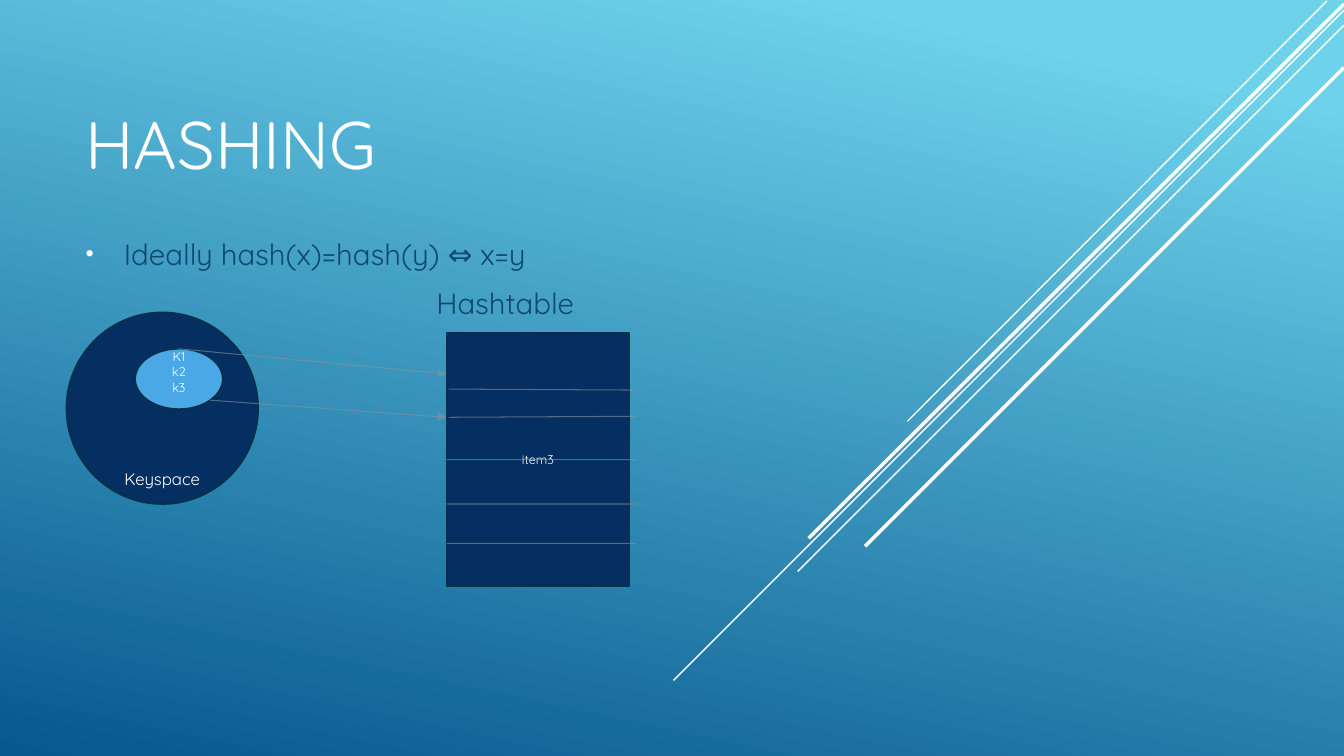
"""Build the hashing slide: keys in a keyspace mapped to hashtable slots."""
from dataclasses import dataclass
from typing import Any

from lxml.etree import SubElement
from pptx import Presentation
from pptx.dml.color import RGBColor
from pptx.enum.shapes import MSO_CONNECTOR, MSO_SHAPE
from pptx.enum.text import MSO_ANCHOR, PP_ALIGN
from pptx.oxml.ns import qn
from pptx.util import Inches, Pt

WHITE, NAVY, SKY, OUTLINE = "FFFFFF", "052F61", "4AA8E7", "043148"
BODY, GREY = "0F496F", "89919C"


@dataclass(frozen=True)
class Stroke:
    """A straight line from start to end, in inches."""
    start: tuple[float, float]
    end: tuple[float, float]
    color: str = GREY
    width: float = 0.75
    alpha: int = 60
    arrow: bool = False


@dataclass(frozen=True)
class Region:
    """A filled, labelled shape with insets above and below its label."""
    kind: MSO_SHAPE
    box: tuple[float, float, float, float]
    fill: str
    label: str
    size: float
    anchor: MSO_ANCHOR = MSO_ANCHOR.MIDDLE
    top: float = 0.05
    bottom: float = 0.05


def rgb(value: str) -> RGBColor:
    """Turn a hex string into a colour."""
    return RGBColor.from_string(value)


def apply(target: Any, values: dict[str, Any]) -> None:
    """Set each named format value on the target."""
    for name, value in values.items():
        setattr(target, name, value)


def style(paragraph: Any, size: float, color: str, **layout: Any) -> None:
    """Give a paragraph its font and layout."""
    apply(paragraph.font, {"name": "Quicksand", "size": Pt(size)})
    paragraph.font.color.rgb = rgb(color)
    apply(paragraph, layout)


def indent(paragraph: Any, left: float, first: float = 0) -> Any:
    """Indent a paragraph and return its properties."""
    properties = paragraph._p.get_or_add_pPr()
    properties.set("marL", str(Inches(left)))
    properties.set("indent", str(Inches(first)))
    return properties


def add_bullet(paragraph: Any, color: str, percent: int) -> None:
    """Hang a round bullet in front of a paragraph."""
    properties = indent(paragraph, 0.38, -0.38)
    bullet_color = SubElement(properties, qn("a:buClr"))
    SubElement(bullet_color, qn("a:srgbClr"), val=color)
    SubElement(properties, qn("a:buSzPct"), val=str(percent * 1000))
    SubElement(properties, qn("a:buFont"), typeface="Arial")
    SubElement(properties, qn("a:buChar"), char="•")


def draw_stroke(slide: Any, stroke: Stroke) -> None:
    """Draw a line, with an arrowhead where asked."""
    ends = [Inches(value) for value in (*stroke.start, *stroke.end)]
    connector = slide.shapes.add_connector(MSO_CONNECTOR.STRAIGHT, *ends)
    connector.line.width = Pt(stroke.width)
    connector.line.color.rgb = rgb(stroke.color)
    outline = connector.line._get_or_add_ln()
    tint = outline.find(".//" + qn("a:srgbClr"))
    SubElement(tint, qn("a:alpha"), val=str(stroke.alpha * 1000))
    if stroke.arrow:
        SubElement(outline, qn("a:tailEnd"), type="triangle")
    SubElement(connector._element.spPr, qn("a:effectLst"))


def draw_region(slide: Any, region: Region) -> None:
    """Draw a filled shape with its centred label."""
    shape = slide.shapes.add_shape(region.kind, *map(Inches, region.box))
    shape.shadow.inherit = False
    shape.fill.solid()
    shape.fill.fore_color.rgb = rgb(region.fill)
    shape.line.color.rgb = rgb(OUTLINE)
    shape.line.width = Pt(1.25)
    apply(shape.text_frame, {
        "word_wrap": True, "vertical_anchor": region.anchor,
        "margin_left": 0, "margin_right": 0,
        "margin_top": Inches(region.top),
        "margin_bottom": Inches(region.bottom), "text": region.label})
    for paragraph in shape.text_frame.paragraphs:
        style(paragraph, region.size, WHITE, alignment=PP_ALIGN.CENTER)


def add_text(slide: Any, box: tuple[float, float, float, float], text: str,
             anchor: MSO_ANCHOR = MSO_ANCHOR.TOP) -> list[Any]:
    """Add a wrapping text box and return its paragraphs."""
    frame = slide.shapes.add_textbox(*map(Inches, box)).text_frame
    apply(frame, {"word_wrap": True, "vertical_anchor": anchor, "text": text})
    return list(frame.paragraphs)


RAYS = [
    Stroke((13.16, 0.01), (9, 4.18), WHITE, 1, 100),
    Stroke((13.33, 0.1), (6.68, 6.75), WHITE, 1, 100),
    Stroke((13.33, 0.25), (7.91, 5.67), WHITE, 1, 100),
    Stroke((13.33, 0.04), (8.02, 5.34), WHITE, 2.5, 100),
    Stroke((13.33, 0.67), (8.58, 5.42), WHITE, 2.5, 100),
]
REGIONS = [
    Region(MSO_SHAPE.OVAL, (0.66, 3.1, 1.9, 1.9), NAVY, "Keyspace", 12,
           MSO_ANCHOR.TOP, 1.27, 0),
    Region(MSO_SHAPE.OVAL, (1.34, 3.46, 0.87, 0.6), SKY, "K1\vk2\vk3", 9,
           top=0, bottom=0.14),
    Region(MSO_SHAPE.RECTANGLE, (4.43, 3.3, 1.81, 2.52), NAVY, "item3", 9),
]
SLOT_RULES = [
    Stroke((left, start), (6.31, end)) for left, start, end in (
        (4.45, 3.86, 3.87), (4.45, 4.14, 4.13), (4.43, 4.56, 4.56),
        (4.43, 5, 5), (4.43, 5.39, 5.39))
]
HASH_ARROWS = [
    Stroke((2.08, 3.97), (4.43, 4.14), arrow=True),
    Stroke((1.77, 3.46), (4.43, 3.71), arrow=True),
]


def build() -> None:
    """Assemble and save the slide."""
    deck = Presentation()
    apply(deck, {"slide_width": Inches(13.33), "slide_height": Inches(7.5)})
    slide = deck.slides.add_slide(deck.slide_layouts[6])

    backdrop = slide.background.fill
    backdrop.gradient()
    backdrop.gradient_angle = 360 - 102
    for stop, position, color in zip(backdrop.gradient_stops, (0.1, 1),
                                     ("6ED2EB", "06588E")):
        stop.position = position
        stop.color.rgb = rgb(color)

    for ray in RAYS:
        draw_stroke(slide, ray)

    heading, = add_text(slide, (0.75, 0.75, 8.75, 1.11), "HASHING",
                        MSO_ANCHOR.BOTTOM)
    style(heading, 48, WHITE)

    ideal, table_label = add_text(
        slide, (0.75, 2.29, 7, 4.05),
        "Ideally hash(x)=hash(y) ⇔ x=y\nHashtable")
    for paragraph in (ideal, table_label):
        style(paragraph, 21, BODY, space_before=Pt(4), space_after=Pt(6))
    add_bullet(ideal, WHITE, 80)
    indent(table_label, 3.48)

    for region in REGIONS:
        draw_region(slide, region)
    for stroke in SLOT_RULES + HASH_ARROWS:
        draw_stroke(slide, stroke)
    deck.save("out.pptx")


build()
